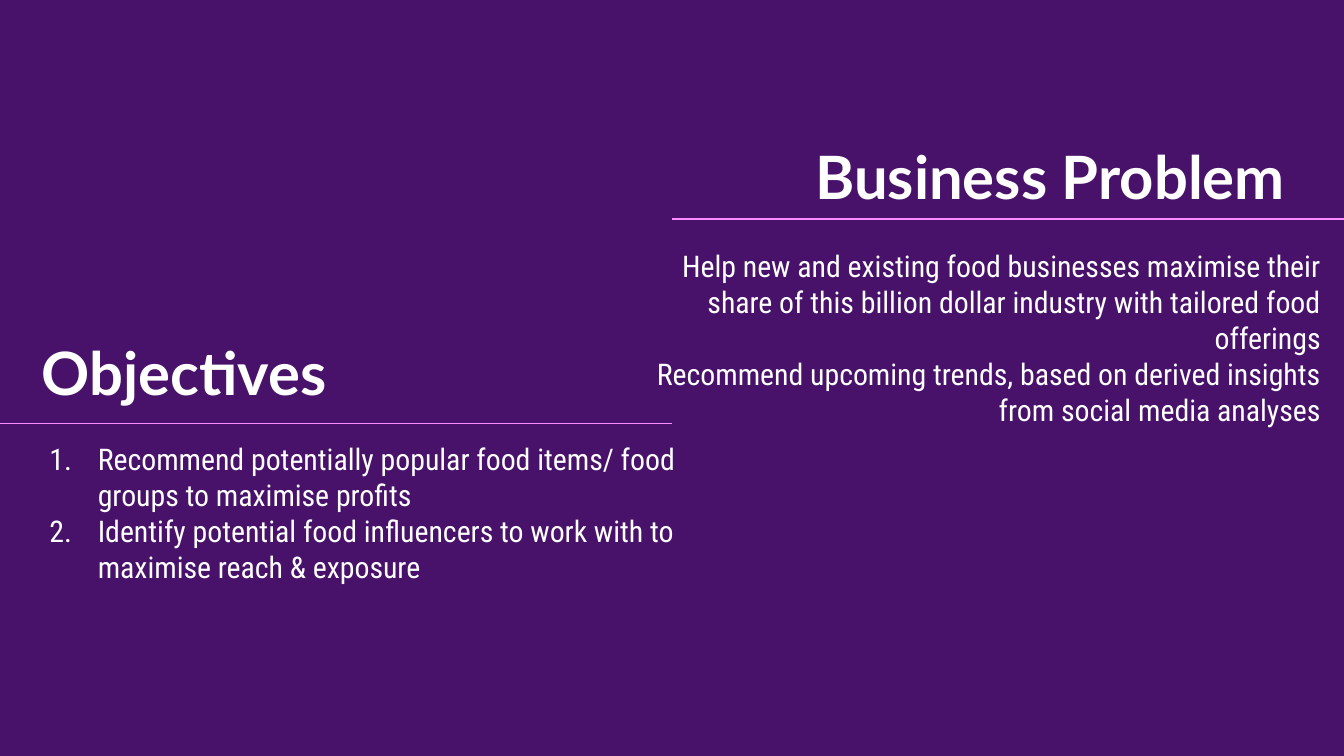
from dataclasses import dataclass

from lxml import etree
from pptx import Presentation
from pptx.dml.color import RGBColor
from pptx.enum.shapes import MSO_CONNECTOR
from pptx.enum.text import MSO_ANCHOR, MSO_AUTO_SIZE, PP_ALIGN
from pptx.oxml.ns import qn
from pptx.util import Emu, Pt

PX = 4572  # 200 px to the inch
TITLE_ONLY = 5
STRAIGHT = MSO_CONNECTOR.STRAIGHT
TOP, BOTTOM = MSO_ANCHOR.TOP, MSO_ANCHOR.BOTTOM
LEFT, CENTER, RIGHT = PP_ALIGN.LEFT, PP_ALIGN.CENTER, PP_ALIGN.RIGHT
NO_AUTOFIT = MSO_AUTO_SIZE.NONE

COLORS = {"background": "48126A", "text": "FFFFFF", "rule": "FF8CFF"}
HEADING_FONT = {"name": "Lato", "size": Pt(32), "bold": True}
BODY_FONT = {"name": "Roboto Condensed", "size": Pt(16), "bold": False}


@dataclass(frozen=True)
class Box:
    left: int
    top: int
    width: int
    height: int


@dataclass(frozen=True)
class Section:
    heading: str
    heading_box: Box
    rule_left: int
    rule_top: int
    body: tuple[str, ...]
    body_box: Box
    align: PP_ALIGN
    numbered: bool


RULE_WIDTH = 1000
SECTIONS = (
    Section(
        "Objectives", Box(0, 460, 548, 166), 0, 630,
        ("Recommend potentially popular food items/ food groups to maximise profits",
         "Identify potential food influencers to work with to maximise reach & exposure"),
        Box(26, 636, 1060, 274), LEFT, True),
    Section(
        "Business Problem", Box(1140, -116, 846, 450), 1000, 326,
        ("Help new and existing food businesses maximise their share of this billion "
         "dollar industry with tailored food offerings",
         "Recommend upcoming trends, based on derived insights from social media analyses"),
        Box(904, 349, 1081, 260), RIGHT, False),
)


def px(n: int) -> Emu:
    return Emu(n * PX)


def rgb(name: str) -> RGBColor:
    return RGBColor.from_string(COLORS[name])


def set_attrs(target, values: dict) -> None:
    for name, value in values.items():
        setattr(target, name, value)


def add_number(p) -> None:
    """Give the paragraph an automatic number with a hanging indent."""
    pPr = p._p.get_or_add_pPr()
    pPr.set("marL", str(px(100)))
    pPr.set("indent", str(px(-72)))
    color = etree.SubElement(pPr, qn("a:buClr"))
    etree.SubElement(color, qn("a:srgbClr"), val=COLORS["text"])
    etree.SubElement(pPr, qn("a:buFont"), typeface=BODY_FONT["name"])
    etree.SubElement(pPr, qn("a:buAutoNum"), type="arabicPeriod")


def fill_text(sp, box: Box, lines: tuple[str, ...], font: dict, align: PP_ALIGN,
              anchor: MSO_ANCHOR, numbered: bool = False) -> None:
    set_attrs(sp, {"left": px(box.left), "top": px(box.top),
                   "width": px(box.width), "height": px(box.height)})
    tf = sp.text_frame
    set_attrs(tf, {"word_wrap": True, "auto_size": NO_AUTOFIT, "vertical_anchor": anchor})
    set_attrs(tf, {f"margin_{side}": px(20) for side in ("left", "top", "right", "bottom")})
    for i, line in enumerate(lines):
        p = tf.add_paragraph() if i else tf.paragraphs[0]
        p.alignment = align
        if numbered:
            add_number(p)
        r = p.add_run()
        r.text = line
        set_attrs(r.font, font)
        r.font.color.rgb = rgb("text")


def add_rule(s, left: int, top: int) -> None:
    line = s.shapes.add_connector(STRAIGHT, px(left), px(top), px(left + RULE_WIDTH), px(top))
    line.line.color.rgb = rgb("rule")
    line.line.width = Pt(0.75)
    etree.SubElement(line._element.spPr, qn("a:effectLst"))


def add_text_box(s):
    return s.shapes.add_textbox(0, 0, px(200), px(200))


def draw_section(s, section: Section, heading) -> None:
    fill_text(heading, section.heading_box, (section.heading,), HEADING_FONT, CENTER, BOTTOM)
    add_rule(s, section.rule_left, section.rule_top)
    fill_text(add_text_box(s), section.body_box, section.body, BODY_FONT,
              section.align, TOP, section.numbered)


def main() -> None:
    prs = Presentation()
    set_attrs(prs, {"slide_width": px(2000), "slide_height": px(1125)})
    s = prs.slides.add_slide(prs.slide_layouts[TITLE_ONLY])
    s.background.fill.solid()
    s.background.fill.fore_color.rgb = rgb("background")
    for i, section in enumerate(SECTIONS):
        draw_section(s, section, add_text_box(s) if i else s.shapes.title)
    prs.save("out.pptx")


if __name__ == "__main__":
    main()
